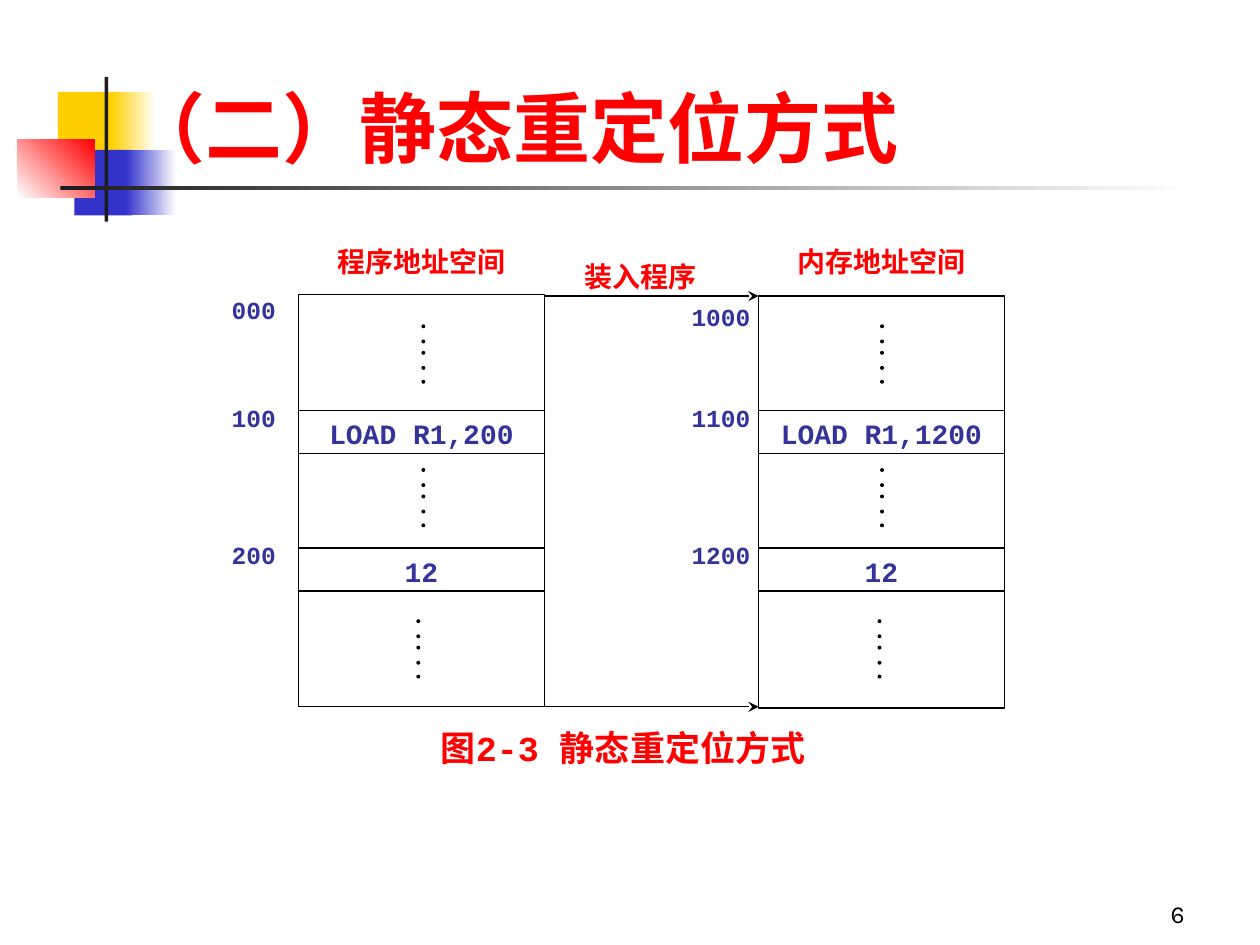
import pptx
import pptx.util
import pptx.dml.color
import pptx.enum.shapes
import pptx.enum.text
import pptx.oxml.ns
import lxml.etree

Inches = pptx.util.Inches
Pt = pptx.util.Pt
RGBColor = pptx.dml.color.RGBColor
SHAPE = pptx.enum.shapes.MSO_SHAPE
ALIGN = pptx.enum.text.PP_ALIGN
ANCHOR = pptx.enum.text.MSO_ANCHOR

BLACK = RGBColor(0x00, 0x00, 0x00)
WHITE = RGBColor(0xFF, 0xFF, 0xFF)
RED = RGBColor(0xFF, 0x00, 0x00)
YELLOW = RGBColor(0xFF, 0xCF, 0x01)
BLUE = RGBColor(0x33, 0x33, 0xCC)
CHARCOAL = RGBColor(0x1C, 0x1C, 0x1C)
INDIGO = RGBColor(0x33, 0x33, 0x99)

MONO = "Courier New"
SANS = "Karla"

COLUMN_WIDTH = 1.95
COLUMN_HEIGHT = 3.27
CELL_HEIGHT = 0.34
CELL_TOPS = (3.26, 4.35)
DOT_SIZE = 0.02
DOT_OFFSETS = (0, 0.12, 0.21, 0.33, 0.44)
DOT_TOPS = (2.58, 3.72, 4.92)
ADDRESS_RISE = 0.11
PROGRAM_LEFT = 2.37
MEMORY_LEFT = 6.02


def add_box(slide, left, top, width, height, fill=None, line=None, kind=SHAPE.RECTANGLE):
    box = slide.shapes.add_shape(kind, Inches(left), Inches(top), Inches(width), Inches(height))
    box.shadow.inherit = False
    if fill is None:
        box.fill.background()
    else:
        box.fill.solid()
        box.fill.fore_color.rgb = fill
    if line is None:
        box.line.fill.background()
    else:
        box.line.color.rgb = line
        box.line.width = Pt(0.75)
    return box


def add_fade(slide, left, top, width, height, start, end, angle=0):
    """Add a rectangle with a two-colour gradient; angle is counter-clockwise."""
    box = add_box(slide, left, top, width, height)
    box.fill.gradient()
    box.fill.gradient_angle = angle
    for stop, color in zip(box.fill.gradient_stops, (start, end)):
        stop.color.rgb = color


def write(shape, text, size, color, font=MONO, bold=True, align=ALIGN.LEFT, anchor=ANCHOR.TOP):
    frame = shape.text_frame
    frame.word_wrap = True
    frame.vertical_anchor = anchor
    paragraph = frame.paragraphs[0]
    paragraph.text = text
    paragraph.alignment = align
    paragraph.font.name = font
    paragraph.font.size = Pt(size)
    paragraph.font.bold = bold
    paragraph.font.color.rgb = color


def add_label(slide, left, top, width, height, text, size, color, **style):
    label = slide.shapes.add_textbox(Inches(left), Inches(top), Inches(width), Inches(height))
    write(label, text, size, color, **style)
    return label


def add_arrow(slide, start, end, y):
    arrow = slide.shapes.add_connector(
        pptx.enum.shapes.MSO_CONNECTOR.STRAIGHT, Inches(start), Inches(y), Inches(end), Inches(y))
    arrow.line.color.rgb = BLACK
    arrow.line.width = Pt(0.75)
    qn = pptx.oxml.ns.qn
    lxml.etree.SubElement(arrow.line._get_or_add_ln(), qn("a:tailEnd"), type="stealth")
    lxml.etree.SubElement(arrow._element.spPr, qn("a:effectLst"))


def add_dots(slide, left, top):
    for offset in DOT_OFFSETS:
        add_box(slide, left, top + offset, DOT_SIZE, DOT_SIZE, BLACK, BLACK, SHAPE.OVAL)


def add_address_space(slide, left, top, heading, cells, addresses, first_address_top,
                      address_left, dot_lefts):
    add_box(slide, left, top, COLUMN_WIDTH, COLUMN_HEIGHT, line=BLACK)
    add_label(slide, left, 1.89, COLUMN_WIDTH, 0.51, heading, 16, RED, align=ALIGN.CENTER)
    for text, cell_top in zip(cells, CELL_TOPS):
        cell = add_box(slide, left, cell_top, COLUMN_WIDTH, CELL_HEIGHT, WHITE, BLACK)
        write(cell, text, 16, INDIGO, align=ALIGN.CENTER)
    address_tops = [first_address_top] + [cell_top - ADDRESS_RISE for cell_top in CELL_TOPS]
    for address, address_top in zip(addresses, address_tops):
        add_label(slide, address_left, address_top, 0.76, 0.34, address, 14, INDIGO)
    for dot_left, dot_top in zip(dot_lefts, DOT_TOPS):
        add_dots(slide, dot_left, dot_top)


def add_title_ornament(slide):
    add_box(slide, 0.46, 0.73, 0.48, 0.52, YELLOW)
    add_fade(slide, 0.88, 0.73, 0.36, 0.52, YELLOW, WHITE)
    add_box(slide, 0.59, 1.19, 0.46, 0.52, BLUE)
    add_fade(slide, 1, 1.19, 0.4, 0.52, BLUE, WHITE)
    add_fade(slide, 0.14, 1.11, 0.61, 0.46, WHITE, RED, angle=45)
    add_box(slide, 0.83, 0.61, 0.03, 1.15, CHARCOAL)
    add_fade(slide, 0.48, 1.48, 9, 0.03, CHARCOAL, WHITE)


def main():
    deck = pptx.Presentation()
    deck.slide_width = Inches(10)
    deck.slide_height = Inches(7.5)
    slide = deck.slides.add_slide(deck.slide_layouts[6])

    add_title_ornament(slide)
    add_label(slide, 7.42, 6.92, 2.08, 0.5, "6", 14, BLACK, font=SANS, bold=False,
              align=ALIGN.RIGHT, anchor=ANCHOR.BOTTOM)

    add_address_space(slide, PROGRAM_LEFT, 2.34, "程序地址空间", ("LOAD R1,200", "12"),
                      ("000", "100", "200"), 2.29, 1.74, (3.35, 3.35, 3.31))
    add_address_space(slide, MEMORY_LEFT, 2.35, "内存地址空间", ("LOAD R1,1200", "12"),
                      ("1000", "1100", "1200"), 2.35, 5.39, (6.99, 6.99, 6.97))

    for y in (2.35, 5.61):
        add_arrow(slide, PROGRAM_LEFT + COLUMN_WIDTH, MEMORY_LEFT, y)
    loader = add_label(slide, 4.45, 2.01, COLUMN_WIDTH, 0.51, "装入程序", 16, RED)
    loader.text_frame.margin_left = Inches(0.19)

    add_label(slide, 3.12, 5.72, 3.65, 0.34, "图2-3 静态重定位方式", 20, RED, align=ALIGN.CENTER)
    add_label(slide, 0.92, 0.5, 8.5, 0.92, "（二）静态重定位方式", 44, RED, font=SANS,
              anchor=ANCHOR.BOTTOM)
    deck.save("out.pptx")


if __name__ == "__main__":
    main()
